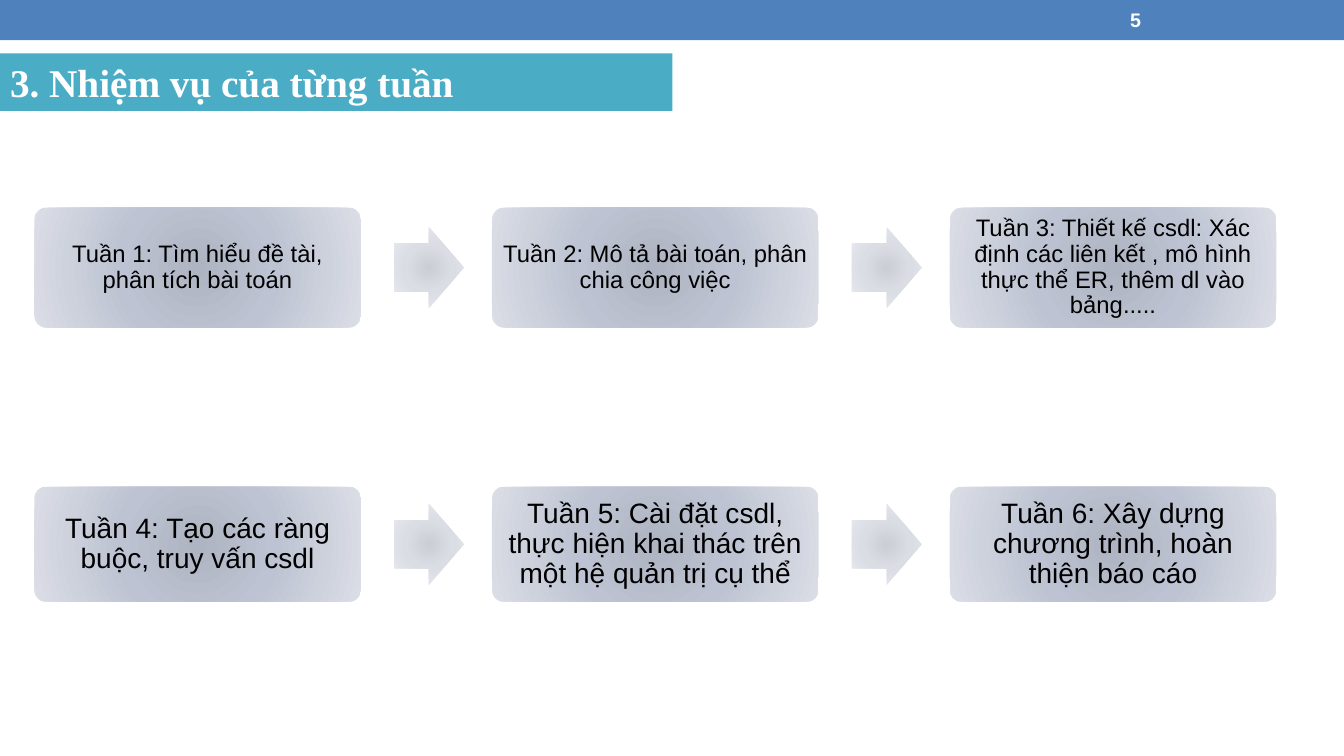
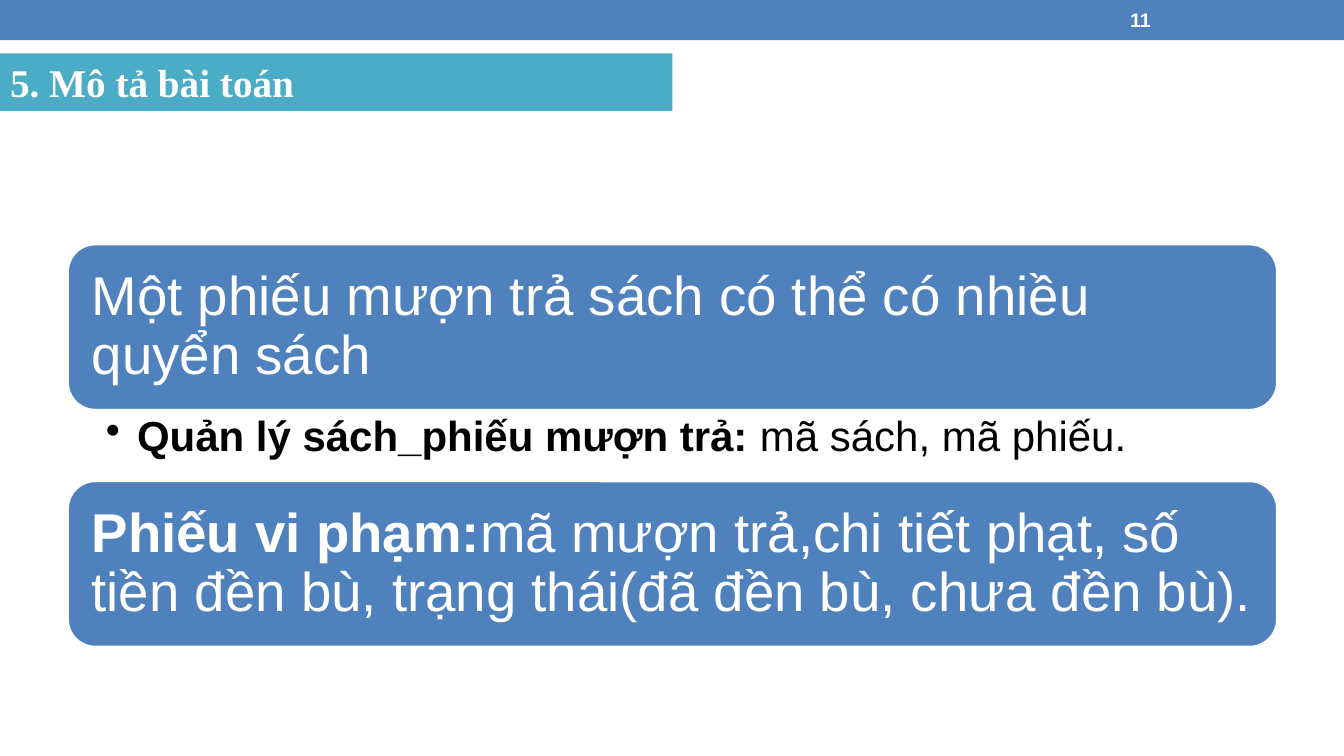
from lxml import etree
from pptx import Presentation
from pptx.dml.color import RGBColor
from pptx.enum.shapes import MSO_SHAPE
from pptx.enum.text import MSO_ANCHOR, MSO_AUTO_SIZE, PP_ALIGN
from pptx.oxml import parse_xml
from pptx.oxml.ns import qn
from pptx.util import Inches, Pt

RECT, ROUND = MSO_SHAPE.RECTANGLE, MSO_SHAPE.ROUNDED_RECTANGLE
ARROW = MSO_SHAPE.RIGHT_ARROW
TOP, MIDDLE = MSO_ANCHOR.TOP, MSO_ANCHOR.MIDDLE
LEFT, CENTER = PP_ALIGN.LEFT, PP_ALIGN.CENTER
FIXED = MSO_AUTO_SIZE.NONE

BLUE, TEAL, WHITE, BLACK = "4F81BD", "4BACC6", "FFFFFF", "000000"
SANS, SERIF = "Arial", "Times New Roman"
CARD_FADE = [(0, "AFB4C2"), (45, "BDC3D2"), (100, "DBDEE6")]
ARROW_FADE = [(0, "CBCED5"), (45, "DBDDE5"), (100, "EAECF1")]
WIDE, HIGH = 13.33, 7.5

WEEKS = [
    {"top": 2.06, "high": 1.19, "size": 17, "pad": 0.07, "texts": [
        "Tuần 1: Tìm hiểu đề tài, phân tích bài toán",
        "Tuần 2: Mô tả bài toán, phân chia công việc",
        "Tuần 3: Thiết kế csdl: Xác định các liên kết , mô hình thực thể ER, "
        "thêm dl vào bảng.....",
    ]},
    {"top": 4.83, "high": 1.14, "size": 20, "pad": 0.08, "texts": [
        "Tuần 4: Tạo các ràng buộc, truy vấn csdl",
        "Tuần 5: Cài đặt csdl, thực hiện khai thác trên một hệ quản trị cụ thể",
        "Tuần 6: Xây dựng chương trình, hoàn thiện báo cáo",
    ]},
]
PANELS = [
    [("Một phiếu mượn trả sách có thể có nhiều quyển sách", False)],
    [("Phiếu vi phạm:", True),
     ("mã mượn trả,chi tiết phạt, số tiền đền bù, "
      "trạng thái(đã đền bù, chưa đền bù).", False)],
]
DETAIL = [("Quản lý sách_phiếu mượn trả: ", True), ("mã sách, mã phiếu.", False)]


def color(code):
    return RGBColor.from_string(code)


def lengths(*values):
    return [Inches(v) for v in values]


def paint(shape, code):
    shape.fill.solid()
    shape.fill.fore_color.rgb = color(code)


def fade(shape, stops):
    shape.fill.background()
    plain = shape.element.spPr.find(qn("a:noFill"))
    grad = parse_xml(
        '<a:gradFill xmlns:a="http://schemas.openxmlformats.org/drawingml/2006/main">'
        '<a:gsLst/><a:path path="circle"><a:fillToRect l="100000" t="100000" '
        'r="100000" b="100000"/></a:path></a:gradFill>')
    for pos, code in stops:
        stop = etree.SubElement(grad[0], qn("a:gs"), pos=str(pos * 1000))
        etree.SubElement(stop, qn("a:srgbClr"), val=code)
    plain.getparent().replace(plain, grad)


def add_form(slide, kind, box, adjust=()):
    shape = slide.shapes.add_shape(kind, *lengths(*box))
    shape.shadow.inherit = False
    shape.line.fill.background()
    for i, value in enumerate(adjust):
        shape.adjustments[i] = value
    return shape


def write(shape, parts, size, code, font=SANS, align=LEFT, anchor=MIDDLE,
          pads=(0.1, 0.05, 0.1, 0.05), space=None):
    frame = shape.text_frame
    frame.word_wrap = True
    frame.auto_size = FIXED
    frame.vertical_anchor = anchor
    (frame.margin_left, frame.margin_top,
     frame.margin_right, frame.margin_bottom) = lengths(*pads)
    para = frame.paragraphs[0]
    para.alignment = align
    para.line_spacing = space
    for text, bold in parts:
        run = para.add_run()
        run.text = text
        run.font.name, run.font.size, run.font.bold = font, Pt(size), bold
        run.font.color.rgb = color(code)
    return para


def add_band(deck, slide):
    band = add_form(slide, RECT, (0, 0, WIDE, 0.4))
    paint(band, BLUE)
    deck.slide_master.shapes.element.insert(2, band.element)


def add_page(deck, heading, number):
    slide = deck.slides.add_slide(deck.slide_layouts[5])
    title = slide.shapes.title
    title.left, title.top, title.width, title.height = lengths(0, 0.53, 6.67, 0.57)
    paint(title, TEAL)
    write(title, [(heading, True)], 28, WHITE, SERIF, anchor=TOP)
    page = slide.shapes.add_textbox(*lengths(11.11, 0.02, 1.56, 0.36))
    write(page, [(number, True)], 14, WHITE)
    return slide


def add_weeks(slide):
    left, wide, step = 0.34, 3.24, 4.54
    gap, span, tall = 0.33, 0.69, 0.8
    for row in WEEKS:
        top, high = row["top"], row["high"]
        for i, text in enumerate(row["texts"]):
            x = left + i * step
            if i:
                y = top + (high - tall) / 2
                arrow = add_form(slide, ARROW, (x - step + wide + gap, y, span, tall),
                                 (0.6, 0.5))
                fade(arrow, ARROW_FADE)
            card = add_form(slide, ROUND, (x, top, wide, high), (0.1,))
            fade(card, CARD_FADE)
            write(card, [(text, False)], row["size"], BLACK, align=CENTER,
                  pads=[row["pad"]] * 4, space=0.9)


def add_panels(slide):
    left, top, wide, high, gap = 0.67, 2.42, 12, 1.65, 0.7
    for i, parts in enumerate(PANELS):
        panel = add_form(slide, ROUND, (left, top + i * (high + gap), wide, high))
        paint(panel, BLUE)
        panel.line.color.rgb = color(WHITE)
        panel.line.width = Pt(2.08)
        write(panel, parts, 39, WHITE, pads=[0.16] * 4, space=0.9)
    detail = slide.shapes.add_textbox(*lengths(left, top + high, wide, gap))
    para = write(detail, DETAIL, 30, BLACK, anchor=TOP,
                 pads=(0.38, 0.05, 0.3, 0.05), space=0.9)
    para.level = 1
    props = para.runs[0].font and para._p.get_or_add_pPr()
    props.set("marL", str(Inches(0.31)))
    props.set("indent", str(-Inches(0.31)))
    etree.SubElement(props, qn("a:buChar"), char="•")


def main():
    deck = Presentation()
    deck.slide_width, deck.slide_height = lengths(WIDE, HIGH)
    weeks = add_page(deck, "3. Nhiệm vụ của từng tuần", "5")
    add_band(deck, weeks)
    add_weeks(weeks)
    add_panels(add_page(deck, "5. Mô tả bài toán", "11"))
    deck.save("out.pptx")


if __name__ == "__main__":
    main()
